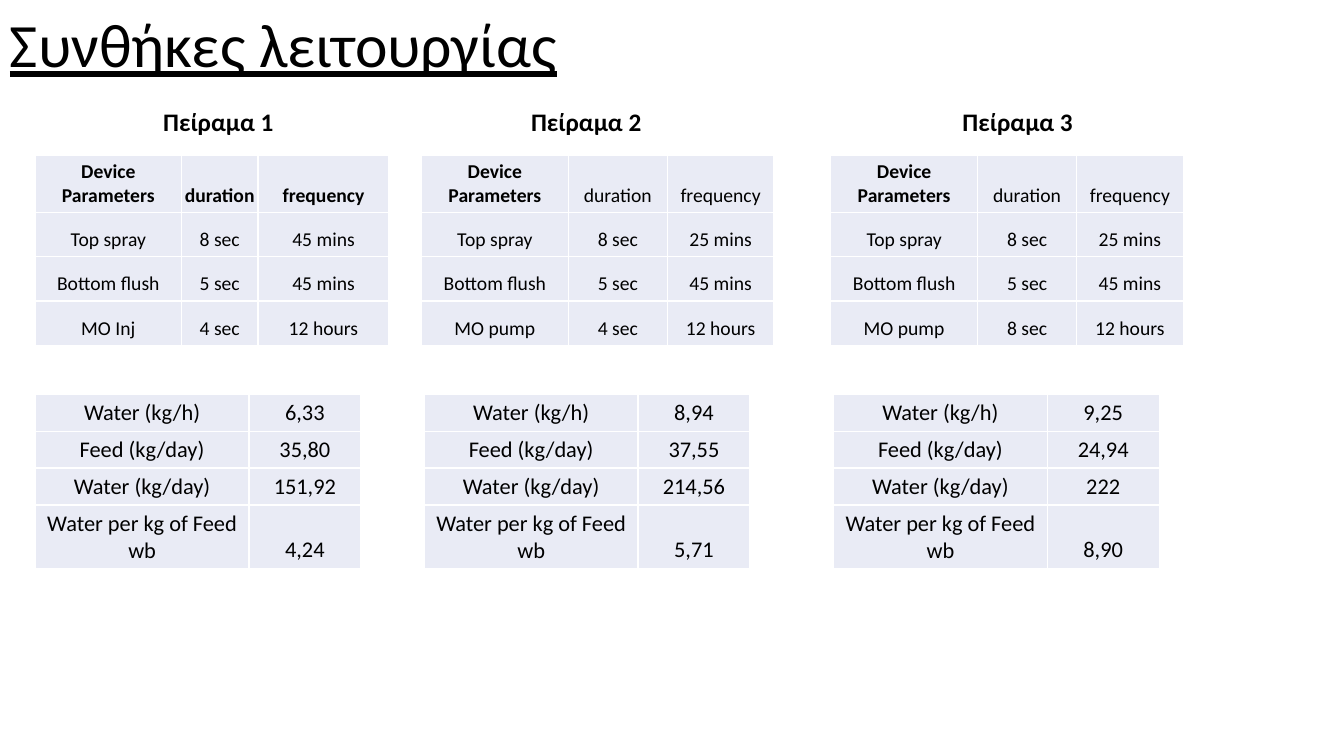
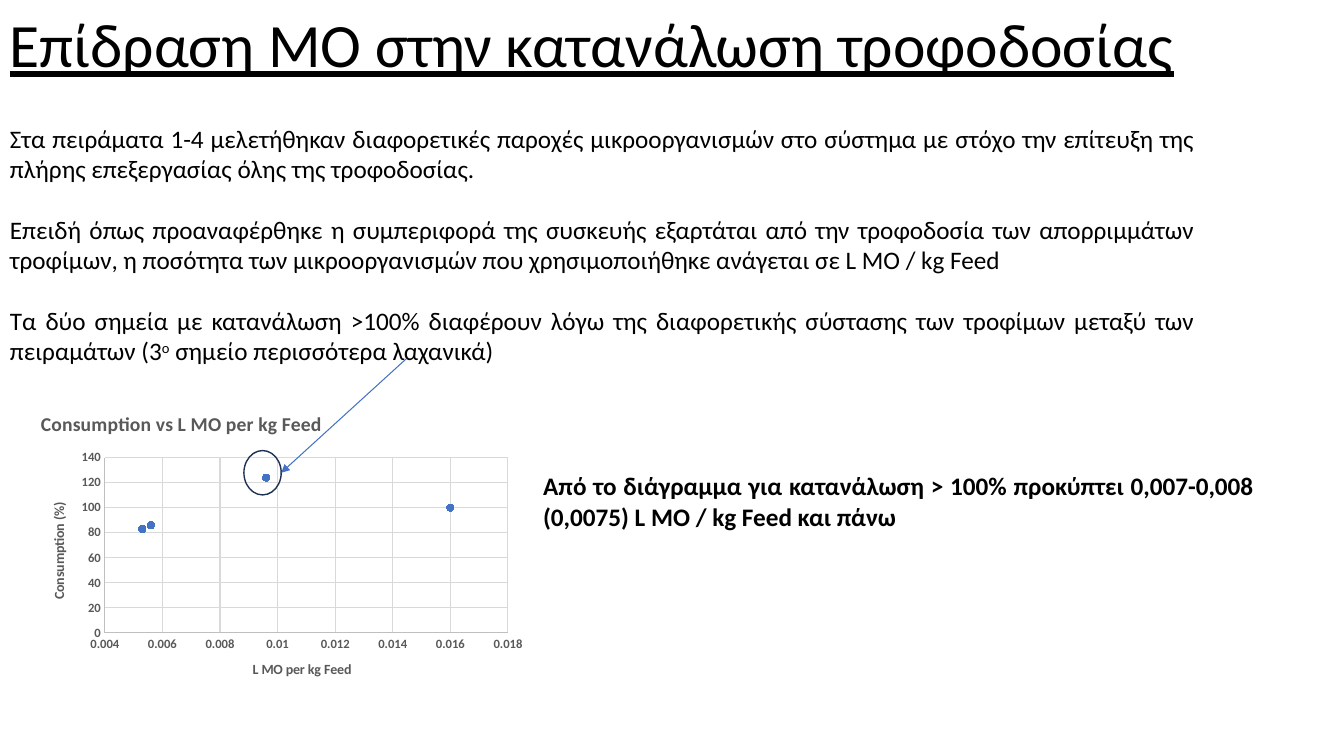
from lxml import etree
from pptx import Presentation
from pptx.chart.data import XyChartData
from pptx.dml.color import RGBColor
from pptx.enum.chart import XL_CHART_TYPE, XL_MARKER_STYLE, XL_TICK_MARK
from pptx.enum.shapes import MSO_CONNECTOR, MSO_SHAPE
from pptx.enum.text import MSO_ANCHOR, PP_ALIGN
from pptx.oxml import parse_xml
from pptx.oxml.ns import qn
from pptx.util import Inches, Pt

SCATTER = XL_CHART_TYPE.XY_SCATTER
CIRCLE = XL_MARKER_STYLE.CIRCLE
NO_TICK = XL_TICK_MARK.NONE
OVAL = MSO_SHAPE.OVAL
STRAIGHT = MSO_CONNECTOR.STRAIGHT
MIDDLE, BOTTOM = MSO_ANCHOR.MIDDLE, MSO_ANCHOR.BOTTOM
LEFT, CENTER, JUSTIFY = PP_ALIGN.LEFT, PP_ALIGN.CENTER, PP_ALIGN.JUSTIFY

FONT = "Calibri"
BLACK, WHITE, CELL = "000000", "FFFFFF", "E9EBF5"
BLUE, NAVY = "4472C4", "1D3155"
GREY, AXIS, GRID = "595959", "BFBFBF", "D9D9D9"
COLS, ROWS = 40, 22.5  # square grid over the whole slide
CHART_NS = "http://schemas.openxmlformats.org/drawingml/2006/chart"

PARAMS = ["Device Parameters", "duration", "frequency"]
FACTS = ["Water (kg/h)", "Feed (kg/day)", "Water (kg/day)",
         "Water per kg of Feed wb"]
FACT_COLS = [6.36, 3.33]
EVEN_COLS = [4.38, 2.94, 3.18]
TRIALS = [
    dict(name="Πείραμα 1", left=1.05, indent=3.51, shift=0,
         cols=[4.35, 2.28, 3.9], bold=3,
         steps=[["Top spray", "8 sec", "45 mins"],
                ["Bottom flush", "5 sec", "45 mins"],
                ["MO Inj", "4 sec", "12 hours"]],
         facts=["6,33", "35,80", "151,92", "4,24"]),
    dict(name="Πείραμα 2", left=12.54, indent=2.97, shift=0.09,
         cols=EVEN_COLS, bold=1,
         steps=[["Top spray", "8 sec", "25 mins"],
                ["Bottom flush", "5 sec", "45 mins"],
                ["MO pump", "4 sec", "12 hours"]],
         facts=["8,94", "37,55", "214,56", "5,71"]),
    dict(name="Πείραμα 3", left=24.72, indent=3.63, shift=0.09,
         cols=EVEN_COLS, bold=1,
         steps=[["Top spray", "8 sec", "25 mins"],
                ["Bottom flush", "5 sec", "45 mins"],
                ["MO pump", "8 sec", "12 hours"]],
         facts=["9,25", "24,94", "222", "8,90"]),
]
BODY = [
    "Στα πειράματα 1-4 μελετήθηκαν διαφορετικές παροχές μικροοργανισμών στο "
    "σύστημα με στόχο την επίτευξη της πλήρης επεξεργασίας όλης της "
    "τροφοδοσίας.",
    "Επειδή όπως προαναφέρθηκε η συμπεριφορά της συσκευής εξαρτάται από την "
    "τροφοδοσία των απορριμμάτων τροφίμων, η ποσότητα των μικροοργανισμών που "
    "χρησιμοποιήθηκε ανάγεται σε L MO / kg Feed",
    "Τα δύο σημεία με κατανάλωση >100% διαφέρουν λόγω της διαφορετικής "
    "σύστασης των τροφίμων μεταξύ των πειραμάτων (3^ο^ σημείο περισσότερα "
    "λαχανικά)",
]
REMARK = ("Από το διάγραμμα για κατανάλωση > 100% προκύπτει 0,007-0,008 "
          "(0,0075) L MO / kg Feed και πάνω")
POINTS = [(0.0056, 86), (0.0053, 83), (0.016, 100), (0.0096, 124)]


def color(code):
    return RGBColor.from_string(code)


def grid(*cells):
    return [Inches(cell / 3) for cell in cells]


def style(font, size, code=BLACK, bold=False):
    font.name, font.size, font.bold = FONT, Pt(size), bold
    font.color.rgb = color(code)


def fill_para(para, text, size, bold, align):
    """Write text in a paragraph; a part between carets is superscript."""
    para.alignment = align
    for i, part in enumerate(text.split("^")):
        run = para.add_run()
        run.text = part
        style(run.font, size, bold=bold)
        if i % 2:
            run._r.get_or_add_rPr().set("baseline", "30000")


def add_text(slide, box, texts, size=18, bold=False, align=LEFT, gap=0):
    frame = slide.shapes.add_textbox(*grid(*box)).text_frame
    frame.word_wrap = True
    for i, text in enumerate(texts):
        para = frame.add_paragraph() if i else frame.paragraphs[0]
        fill_para(para, text, size, bold, align)
        para.space_after = Pt(gap)
    return frame


def add_title(slide, text):
    frame = add_text(slide, (0, 0.06, COLS, 2.73), [text], 44)
    frame.vertical_anchor = MIDDLE
    para = frame.paragraphs[0]
    para.line_spacing = 0.9
    para.runs[0].font.underline = True


def add_edges(cell):
    props = cell._tc.get_or_add_tcPr()
    for side in ("lnL", "lnR", "lnT", "lnB"):
        line = etree.SubElement(props, qn("a:" + side), w="12192")
        paint = etree.SubElement(line, qn("a:solidFill"))
        etree.SubElement(paint, qn("a:srgbClr"), val=WHITE)


def add_grid(slide, left, top, cols, row, data, size, bold=0):
    """Draw a table; the first `bold` cells of its top row are bold."""
    box = grid(left, top, sum(cols), row * len(data))
    table = slide.shapes.add_table(len(data), len(cols), *box).table
    table.first_row = table.horz_banding = False
    for col, width in zip(table.columns, grid(*cols)):
        col.width = width
    for r, texts in enumerate(data):
        table.rows[r].height = grid(row)[0]
        for c, text in enumerate(texts):
            cell = table.cell(r, c)
            add_edges(cell)
            cell.fill.solid()
            cell.fill.fore_color.rgb = color(CELL)
            cell.vertical_anchor = BOTTOM
            cell.margin_left = cell.margin_right = Inches(0.01)
            fill_para(cell.text_frame.paragraphs[0], text, size,
                      r == 0 and c < bold, CENTER)


def add_trial(slide, top, trial):
    left = trial["left"]
    add_text(slide, (left + trial["indent"], top, 6.15, 1.2),
             [trial["name"]], bold=True)
    add_grid(slide, left, top + 1.59, trial["cols"], 1.32,
             [PARAMS] + trial["steps"], 14, trial["bold"])
    add_grid(slide, left + trial["shift"], top + 8.7, FACT_COLS, 1.02,
             list(zip(FACTS, trial["facts"])), 16)


def set_layout(node, index, inner=False, **shares):
    """Fix the place of a chart part as shares of the chart."""
    for old in node.findall(qn("c:layout")):
        node.remove(old)
    layout = parse_xml(f'<c:layout xmlns:c="{CHART_NS}"><c:manualLayout/>'
                       '</c:layout>')
    manual = layout[0]
    if inner:
        etree.SubElement(manual, qn("c:layoutTarget"), val="inner")
    for key in ("xMode", "yMode"):
        etree.SubElement(manual, qn("c:" + key), val="edge")
    for key, share in shares.items():
        etree.SubElement(manual, qn("c:" + key), val=str(share))
    node.insert(index, layout)


def set_title(owner, text, size):
    frame = owner.text_frame
    frame.text = text
    style(frame.paragraphs[0].runs[0].font, size, GREY, True)


def set_axis(axis, text, low, high, step):
    axis.minimum_scale, axis.maximum_scale = low, high
    axis.major_unit = step
    axis.major_tick_mark = axis.minor_tick_mark = NO_TICK
    axis.has_major_gridlines = True
    for line, code in ((axis.format.line, AXIS),
                       (axis.major_gridlines.format.line, GRID)):
        line.color.rgb = color(code)
        line.width = Pt(0.75)
    labels = axis.tick_labels
    labels.number_format = "General"
    labels.number_format_is_linked = False
    style(labels.font, 9, GREY, True)
    set_title(axis.axis_title, text, 10)


def add_plot(slide, box):
    data = XyChartData()
    series = data.add_series("Series 1")
    for x, y in POINTS:
        series.add_data_point(x, y)
    chart = slide.shapes.add_chart(SCATTER, *grid(*box), data).chart
    chart.has_legend = False
    style(chart.font, 10)
    set_title(chart.chart_title, "Consumption vs L MO per kg Feed", 14)
    chart.chart_title.include_in_layout = False
    set_layout(chart.chart_title._element, 1, x=0.016, y=0.03)
    set_layout(chart._chartSpace.chart.plotArea, 0, True,
               x=0.15, y=0.2, w=0.8, h=0.58)
    set_axis(chart.category_axis, "L MO per kg Feed", 0.004, 0.018, 0.002)
    set_axis(chart.value_axis, "Consumption (%)", 0, 140, 20)
    chart.plots[0].vary_by_categories = False
    dots = chart.plots[0].series[0]
    dots.smooth = False
    dots.format.line.fill.background()
    dots.marker.style, dots.marker.size = CIRCLE, 5
    dots.marker.format.fill.solid()
    dots.marker.format.fill.fore_color.rgb = color(BLUE)
    dots.marker.format.line.color.rgb = color(BLUE)


def add_callout(slide, left, top):
    """Ring one point of the plot at left, top and aim an arrow at it."""
    ring = slide.shapes.add_shape(
        OVAL, *grid(left + 6.39, top + 1.59, 1.11, 1.32))
    ring.shadow.inherit = False
    ring.fill.background()
    ring.line.color.rgb = color(NAVY)
    ring.line.width = Pt(1)
    arrow = slide.shapes.add_connector(
        STRAIGHT, *grid(left + 11.22, top - 1.14, left + 7.5, top + 2.25))
    arrow.line.color.rgb = color(BLUE)
    arrow.line.width = Pt(0.75)
    etree.SubElement(arrow.line._get_or_add_ln(), qn("a:tailEnd"),
                     type="triangle")
    etree.SubElement(arrow._element.spPr, qn("a:effectLst"))


def build_trials(slide):
    add_title(slide, "Συνθήκες λειτουργίας")
    for trial in TRIALS:
        add_trial(slide, 3.03, trial)


def build_effect(slide):
    add_title(slide, "Επίδραση MO στην κατανάλωση τροφοδοσίας")
    add_text(slide, (0, 3.51, 35.85, 8.4), BODY, align=JUSTIFY, gap=22)
    add_text(slide, (15.87, 13.86, 21.75, 3), [REMARK], bold=True,
             align=JUSTIFY)
    left, top = 0.87, 11.82
    add_plot(slide, (left, top, 15, 9))
    add_callout(slide, left, top)


def main():
    deck = Presentation()
    deck.slide_width, deck.slide_height = grid(COLS, ROWS)
    for build in (build_trials, build_effect):
        build(deck.slides.add_slide(deck.slide_layouts[6]))
    deck.save("out.pptx")


if __name__ == "__main__":
    main()
